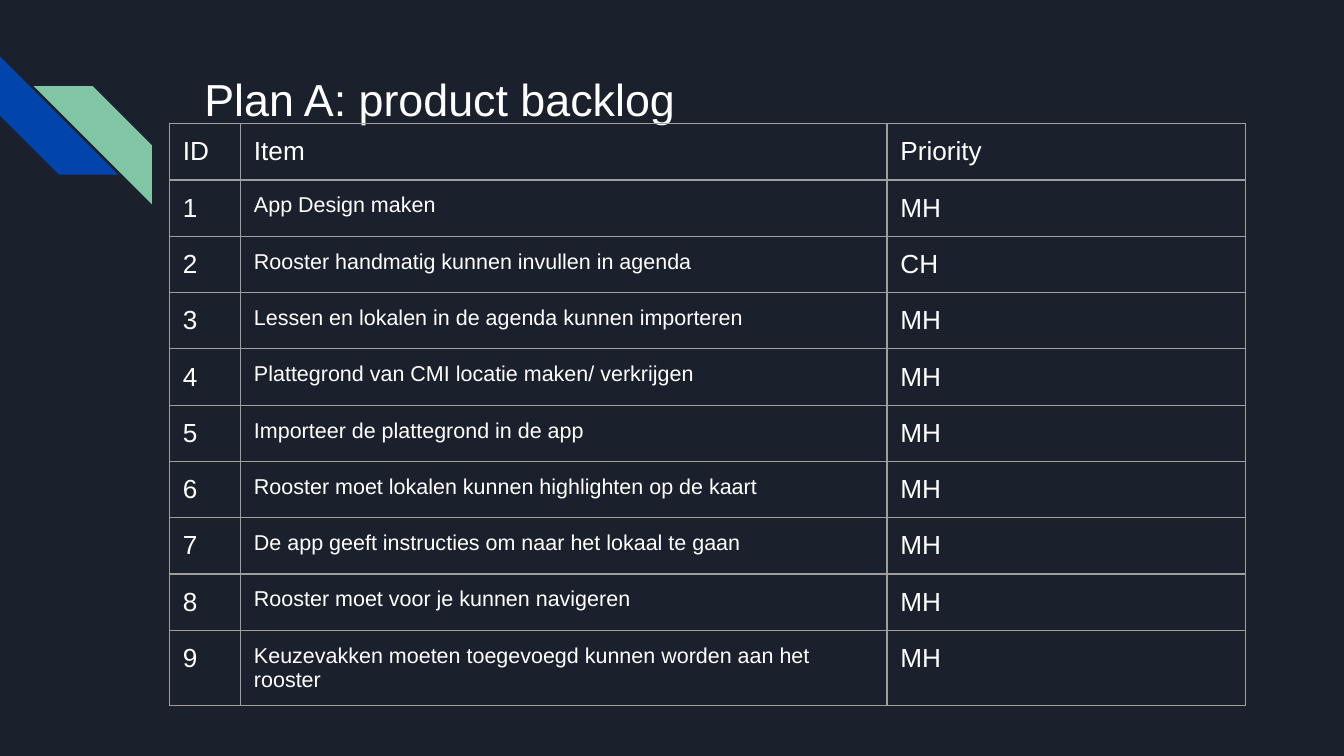
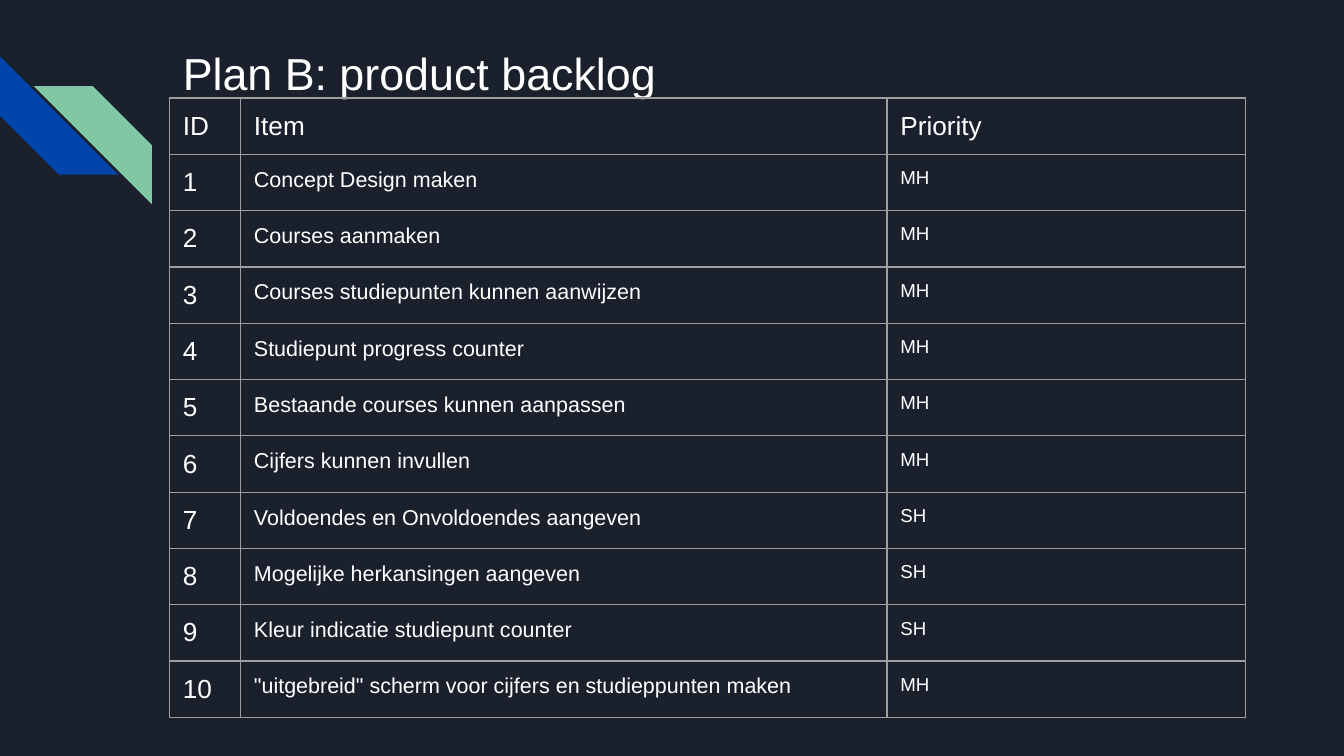
from lxml.etree import SubElement
from pptx import Presentation
from pptx.dml.color import RGBColor
from pptx.enum.shapes import MSO_SHAPE as Shape
from pptx.enum.text import MSO_ANCHOR as Anchor, PP_ALIGN as Align
from pptx.oxml.ns import qn
from pptx.util import Inches, Pt

NAVY = RGBColor(0x1B, 0x21, 0x2C)
BLUE = RGBColor(0x01, 0x45, 0xAC)
GREEN = RGBColor(0x82, 0xC7, 0xA5)
WHITE = RGBColor(0xFF, 0xFF, 0xFF)
GREY = RGBColor(0x9E, 0x9E, 0x9E)

FONT = "Arial"
INSET = Inches(0.1)
STRIPE_SIZE = 0.88
TABLE_LEFT = 1.26
COLUMN_WIDTHS = (0.53, 4.81, 2.67)
ROW_HEIGHT = 0.41
HEADINGS = ("ID", "Item", "Priority")
HEADING_SIZE = 14
ITEM_SIZE = 11.5

PLAN_A = [
    ("App Design maken", "MH"),
    ("Rooster handmatig kunnen invullen in agenda", "CH"),
    ("Lessen en lokalen in de agenda kunnen importeren", "MH"),
    ("Plattegrond van CMI locatie maken/ verkrijgen", "MH"),
    ("Importeer de plattegrond in de app", "MH"),
    ("Rooster moet lokalen kunnen highlighten op de kaart", "MH"),
    ("De app geeft instructies om naar het lokaal te gaan", "MH"),
    ("Rooster moet voor je kunnen navigeren", "MH"),
    ("Keuzevakken moeten toegevoegd kunnen worden aan het rooster", "MH"),
]
PLAN_B = [
    ("Concept Design maken", "MH"),
    ("Courses aanmaken", "MH"),
    ("Courses studiepunten kunnen aanwijzen", "MH"),
    ("Studiepunt progress counter", "MH"),
    ("Bestaande courses kunnen aanpassen", "MH"),
    ("Cijfers kunnen invullen", "MH"),
    ("Voldoendes en Onvoldoendes aangeven", "SH"),
    ("Mogelijke herkansingen aangeven", "SH"),
    ("Kleur indicatie studiepunt counter", "SH"),
    ('"uitgebreid" scherm voor cijfers en studieppunten maken', "MH"),
]


def write_text(frame, text, size, color=WHITE):
    para = frame.paragraphs[0]
    para.alignment = Align.LEFT
    span = para.add_run()
    span.text = text
    span.font.name = FONT
    span.font.size = Pt(size)
    span.font.color.rgb = color


def set_insets(target):
    """Give a text frame or a table cell the same margin on every side."""
    target.margin_left = target.margin_right = INSET
    target.margin_top = target.margin_bottom = INSET


def add_stripe(page, left, top, color, rotation=0, mirrored=False):
    stripe = page.shapes.add_shape(
        Shape.DIAGONAL_STRIPE, Inches(left), Inches(top),
        Inches(STRIPE_SIZE), Inches(STRIPE_SIZE))
    stripe.adjustments[0] = 0.5
    stripe.rotation = rotation
    stripe.shadow.inherit = False
    stripe.fill.solid()
    stripe.fill.fore_color.rgb = color
    stripe.line.fill.background()
    if mirrored:
        stripe._element.spPr.find(qn("a:xfrm")).set("flipH", "1")


def add_title(page, text, left, top):
    title = page.shapes.title
    title.left, title.top = Inches(left), Inches(top)
    title.width, title.height = Inches(7.7), Inches(1)
    frame = title.text_frame
    frame.word_wrap = True
    frame.vertical_anchor = Anchor.TOP
    set_insets(frame)
    write_text(frame, text, 24)


def set_borders(cell, color=GREY, width=0.75):
    properties = cell._tc.get_or_add_tcPr()
    for position, side in enumerate(("lnL", "lnR", "lnT", "lnB")):
        line = SubElement(properties, qn(f"a:{side}"), w=str(Pt(width)))
        fill = SubElement(line, qn("a:solidFill"))
        SubElement(fill, qn("a:srgbClr"), val=str(color))
        properties.insert(position, line)


def add_backlog(page, top, items, priority_size):
    """Draw the numbered backlog table under its headings."""
    rows = [(str(number), *item) for number, item in enumerate(items, 1)]
    row_count = len(rows) + 1
    table = page.shapes.add_table(
        row_count, len(HEADINGS), Inches(TABLE_LEFT), Inches(top),
        Inches(sum(COLUMN_WIDTHS)), Inches(ROW_HEIGHT * row_count)).table
    table.first_row = table.horz_banding = False
    for column, width in zip(table.columns, COLUMN_WIDTHS):
        column.width = Inches(width)

    heading_sizes = (HEADING_SIZE,) * len(HEADINGS)
    item_sizes = (HEADING_SIZE, ITEM_SIZE, priority_size)
    for row_index, texts in enumerate([HEADINGS, *rows]):
        sizes = item_sizes if row_index else heading_sizes
        for column_index, (text, size) in enumerate(zip(texts, sizes)):
            cell = table.cell(row_index, column_index)
            cell.fill.background()
            set_insets(cell)
            set_borders(cell)
            write_text(cell.text_frame, text, size)


def add_page(deck, title, title_left, title_top, table_top, items, priority_size):
    page = deck.slides.add_slide(deck.slide_layouts.get_by_name("Title Only"))
    add_stripe(page, 0, 0.42, BLUE, rotation=270)
    add_stripe(page, 0.25, 0.64, GREEN, mirrored=True)
    add_title(page, title, title_left, title_top)
    add_backlog(page, table_top, items, priority_size)


def main():
    deck = Presentation()
    deck.slide_width = Inches(10)
    deck.slide_height = deck.slide_width * 9 // 16
    background = deck.slide_master.background.fill
    background.solid()
    background.fore_color.rgb = NAVY
    add_page(deck, "Plan A: product backlog", 1.42, 0.43, 0.92, PLAN_A, 14)
    add_page(deck, "Plan B: product backlog", TABLE_LEFT, 0.24, 0.73, PLAN_B, 10)
    deck.save("out.pptx")


if __name__ == "__main__":
    main()
